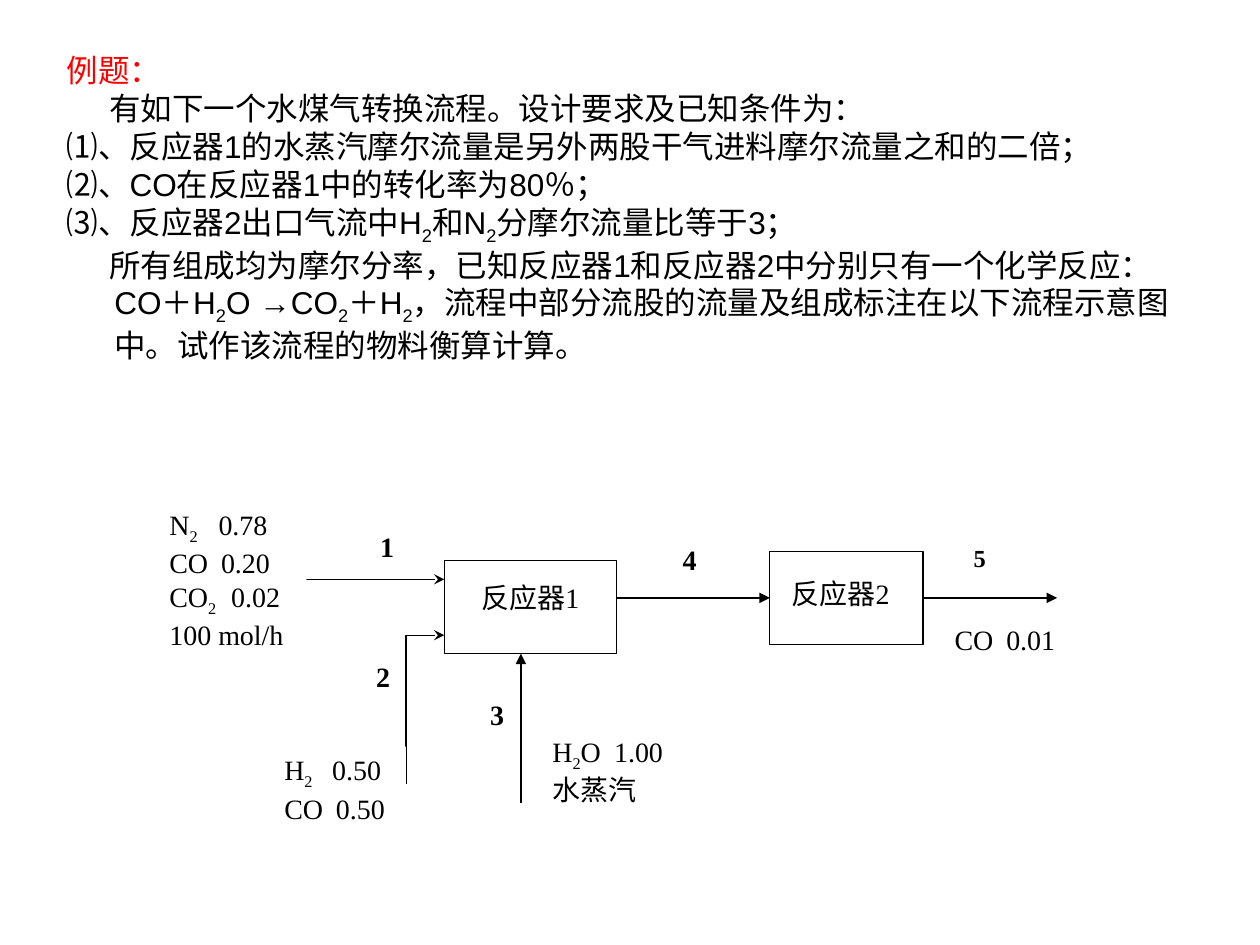
"""Build a worked-example slide: a water-gas shift problem and its flow diagram."""
from lxml.etree import SubElement
from pptx import Presentation
from pptx.dml.color import RGBColor
from pptx.enum.shapes import MSO_CONNECTOR as CONN, MSO_SHAPE as SHAPE
from pptx.enum.text import MSO_ANCHOR as ANCHOR, PP_ALIGN as ALIGN
from pptx.oxml.ns import qn
from pptx.util import Inches, Pt

COLORS = {"text": "000000", "title": "FF0000", "fill": "FFFFFF", "line": "000000"}
FLUSH, INDENTED = -0.38, -0.04
PROBLEM = [
    ("例题：", "title", FLUSH),
    ("有如下一个水煤气转换流程。设计要求及已知条件为：", "text", INDENTED),
    ("⑴、反应器1的水蒸汽摩尔流量是另外两股干气进料摩尔流量之和的二倍；", "text", FLUSH),
    ("⑵、CO在反应器1中的转化率为80％；", "text", FLUSH),
    ("⑶、反应器2出口气流中H_2和N_2分摩尔流量比等于3；", "text", FLUSH),
    ("所有组成均为摩尔分率，已知反应器1和反应器2中分别只有一个化学反应：CO＋H_2O →CO_2＋H_2，"
     "流程中部分流股的流量及组成标注在以下流程示意图中。试作该流程的物料衡算计算。", "text", INDENTED),
]
VALUE_TABS = {"N_2": 0.39, "H_2": 0.38, "CO": 0.41, "CO_2": 0.49, "H_2O": 0.49}

STREAM_NUMBERS = [
    ("5", 14, (35, -1.3, 3, 2.6)),
    ("4", 16, (19.8, -1.3, 4.4, 2.6)),
    ("2", 16, (3.8, 5, 3, 4)),
    ("3", 16, (9.75, 7, 3, 3)),
]
FEED_NUMBER = ("1", 16, (4, -2, 3, 3))
REACTORS = [(8, 0, 9, 5), (25, -0.5, 8, 5)]
STREAMS = [
    ([(0, 1), (8, 1)], "stealth"),
    ([(6, 12), (6, 4), (8, 4)], "stealth"),
    ([(12, 13), (12, 5)], "triangle"),
    ([(17, 2), (25, 2)], "triangle"),
    ([(33, 2), (40, 2)], "triangle"),
]
LABELS = [
    (["反应器1"], (9.3, 0.75, 6.9, 4)),
    (["反应器2"], (25.5, 0.5, 7, 2.25)),
    (["N_2\t0.78", "CO\t0.20", "CO_2\t0.02", "100 mol/h"], (-7, -3.2, 7.8, 9)),
    (["H_2\t0.50", "CO\t0.50"], (-1, 10, 7, 5)),
    (["H_2O\t1.00", "水蒸汽"], (13, 9, 8.8, 6)),
    (["CO\t0.01"], (34, 3, 7, 4)),
]
LEFT, TOP = 2.31, 4.45
COL, ROW = 6.08 / 40, 1.92 / 13


def color(name):
    return RGBColor.from_string(COLORS[name])


def place(col, row):
    return Inches(LEFT + col * COL), Inches(TOP + row * ROW)


def area(col, row, width, height):
    return (*place(col, row), Inches(width * COL), Inches(height * ROW))


def write(p, text, font, size, ink="text", bold=False):
    species = text.split("\t")[0]
    if "\t" in text:
        tabs = SubElement(p._p.get_or_add_pPr(), qn("a:tabLst"))
        SubElement(tabs, qn("a:tab"), pos=str(Inches(VALUE_TABS[species])), algn="l")
    p.font.name, p.font.size, p.font.bold = font, Pt(size), bold
    p.font.color.rgb = color(ink)
    for i, part in enumerate(text.split("_2")):
        if i:
            r = p.add_run()
            r.text = "2"
            r._r.get_or_add_rPr().set("baseline", "-25000")
        if part:
            p.add_run().text = part


def paragraphs(sp, count):
    tf = sp.text_frame
    tf.word_wrap, tf.vertical_anchor = True, ANCHOR.TOP
    return [tf.paragraphs[0]] + [tf.add_paragraph() for _ in range(count - 1)]


def rectangle(s, box):
    sp = s.shapes.add_shape(SHAPE.RECTANGLE, *area(*box))
    sp.shadow.inherit = False
    sp.fill.solid()
    sp.fill.fore_color.rgb = color("fill")
    sp.line.fill.background()
    return sp


def label(sp, lines, size=16, bold=False):
    for p, text in zip(paragraphs(sp, len(lines)), lines):
        p.alignment = ALIGN.JUSTIFY
        write(p, text, "Times New Roman", size, bold=bold)


def outline(sp):
    sp.line.color.rgb = color("line")
    sp.line.width = Pt(0.75)


def stream(s, points, head):
    spots = [place(*point) for point in points]
    if len(spots) == 2:
        sp = s.shapes.add_connector(CONN.STRAIGHT, *spots[0], *spots[1])
        SubElement(sp._element.spPr, qn("a:effectLst"))
    else:
        builder = s.shapes.build_freeform(*spots[0])
        builder.add_line_segments(spots[1:], close=False)
        sp = builder.convert_to_shape()
        sp.shadow.inherit = False
        sp.fill.background()
    outline(sp)
    SubElement(sp.line._get_or_add_ln(), qn("a:tailEnd"), type=head)


def main():
    prs = Presentation()
    prs.slide_width, prs.slide_height = Inches(10), Inches(7.5)
    s = prs.slides.add_slide(prs.slide_layouts[6])

    sp = s.shapes.add_textbox(Inches(0.43), Inches(0.36), Inches(8.98), Inches(2.58))
    for p, (text, ink, indent) in zip(paragraphs(sp, len(PROBLEM)), PROBLEM):
        pPr = p._p.get_or_add_pPr()
        pPr.set("marL", str(Inches(0.38)))
        pPr.set("indent", str(Inches(indent)))
        write(p, text, "Arial", 18, ink)

    for number, size, box in STREAM_NUMBERS:
        label(rectangle(s, box), [number], size, True)
    for box in REACTORS:
        outline(rectangle(s, box))
    for points, head in STREAMS:
        stream(s, points, head)
    for lines, box in LABELS:
        label(rectangle(s, box), lines)
    number, size, box = FEED_NUMBER
    label(s.shapes.add_textbox(*area(*box)), [number], size, True)

    prs.save("out.pptx")


if __name__ == "__main__":
    main()
